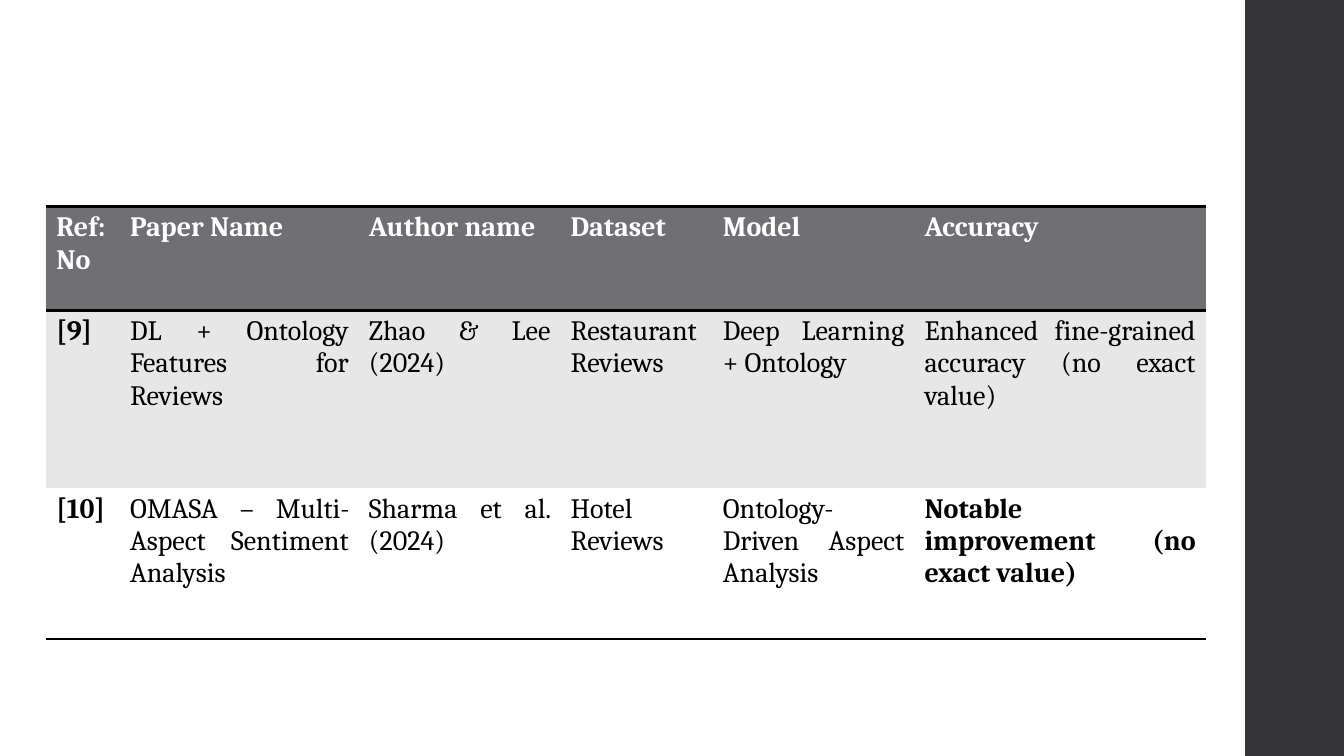
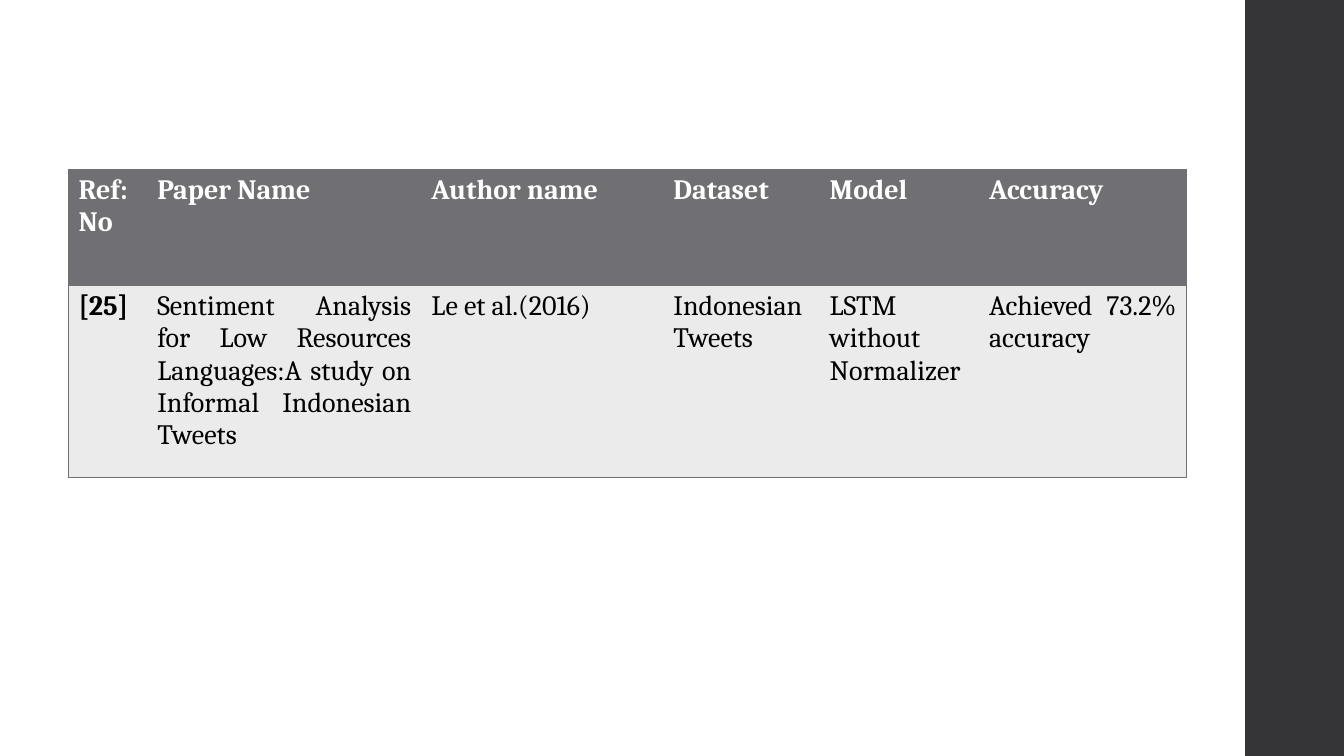
from dataclasses import dataclass

from lxml.etree import SubElement
from pptx import Presentation
from pptx.dml.color import RGBColor
from pptx.enum.shapes import MSO_SHAPE
from pptx.enum.text import PP_ALIGN
from pptx.oxml.ns import qn
from pptx.util import Inches, Pt


@dataclass(frozen=True)
class Theme:
    font: str = "Cambria"
    text_size: int = 20
    paper: str = "FFFFFF"
    ink: str = "000000"
    band: str = "353537"
    header: str = "6F6F74"
    stripe: str = "E7E7E7"
    tint: str = "EBEBEB"


@dataclass(frozen=True)
class TableStyle:
    row_fills: tuple
    line_color: str
    line_width: float
    boxed: bool


THEME = Theme()
SLIDE_WIDTH, SLIDE_HEIGHT = 13.33, 7.5
BAND_LEFT = 12.35
HEADINGS = ("Ref:\nNo", "Paper Name", "Author name", "Dataset", "Model", "Accuracy")
RULED = TableStyle((THEME.stripe, THEME.paper), THEME.ink, 2, boxed=False)
BOXED = TableStyle((THEME.tint,), THEME.header, 1, boxed=True)


def write_text(frame, text, *, color=THEME.ink, bold=False, align=PP_ALIGN.JUSTIFY):
    """Fill a text frame, one paragraph for each line of text."""
    frame.word_wrap = True
    for index, line in enumerate(text.split("\n")):
        paragraph = frame.paragraphs[0] if index == 0 else frame.add_paragraph()
        paragraph.alignment = align
        run = paragraph.add_run()
        run.text = line
        run.font.name = THEME.font
        run.font.size = Pt(THEME.text_size)
        run.font.bold = bold
        run.font.color.rgb = RGBColor.from_string(color)


def fill_solid(target, color):
    target.fill.solid()
    target.fill.fore_color.rgb = RGBColor.from_string(color)


def set_borders(cell, visible_sides, style):
    """Draw the visible sides (of L, R, T, B) and clear the others.

    Must run before the cell is filled, as the schema puts lines first.
    """
    properties = cell._tc.get_or_add_tcPr()
    for side in "LRTB":
        line = SubElement(properties, qn(f"a:ln{side}"), w=str(Pt(style.line_width)))
        if side in visible_sides:
            fill = SubElement(line, qn("a:solidFill"))
            SubElement(fill, qn("a:srgbClr"), val=style.line_color)
        else:
            SubElement(line, qn("a:noFill"))


def sides_to_draw(row, column, row_count, column_count, style):
    """Rule off the header and the table's ends, and its flanks if boxed."""
    sides = ""
    if row <= 1:
        sides += "T"
    if row in (0, row_count - 1):
        sides += "B"
    if style.boxed and column == 0:
        sides += "L"
    if style.boxed and column == column_count - 1:
        sides += "R"
    return sides


def add_slide(presentation):
    """Add a blank slide with the dark band down its right edge."""
    slide = presentation.slides.add_slide(presentation.slide_layouts[6])
    band = slide.shapes.add_shape(
        MSO_SHAPE.RECTANGLE, Inches(BAND_LEFT), 0,
        Inches(SLIDE_WIDTH - BAND_LEFT), Inches(SLIDE_HEIGHT))
    band.shadow.inherit = False
    fill_solid(band, THEME.band)
    band.line.fill.background()
    return slide


def add_paper_table(slide, left, top, column_widths, row_heights, papers, style,
                    bold_cells=()):
    """Add a table of papers; references and bold_cells (row, column) are bold."""
    rows = (HEADINGS, *papers)
    fills = (THEME.header, *style.row_fills)
    table = slide.shapes.add_table(
        len(rows), len(HEADINGS), Inches(left), Inches(top),
        Inches(sum(column_widths)), Inches(sum(row_heights))).table
    table.horz_banding = False
    for column, width in zip(table.columns, column_widths):
        column.width = Inches(width)
    for row, height in zip(table.rows, row_heights):
        row.height = Inches(height)

    for row, texts in enumerate(rows):
        for column, text in enumerate(texts):
            cell = table.cell(row, column)
            sides = sides_to_draw(row, column, len(rows), len(texts), style)
            set_borders(cell, sides, style)
            fill_solid(cell, fills[row])
            write_text(
                cell.text_frame, text,
                color=THEME.paper if row == 0 else THEME.ink,
                bold=row == 0 or column == 0 or (row, column) in bold_cells)


def main():
    presentation = Presentation()
    presentation.slide_width = Inches(SLIDE_WIDTH)
    presentation.slide_height = Inches(SLIDE_HEIGHT)

    add_paper_table(
        add_slide(presentation), 0.46, 2.05,
        column_widths=(0.73, 2.37, 2, 1.51, 2, 2.89),
        row_heights=(1.03, 1.76, 1.5),
        papers=(
            ("[9]", "DL + Ontology Features for Reviews", "Zhao & Lee (2024)",
             "Restaurant Reviews", "Deep Learning + Ontology",
             "Enhanced fine-grained accuracy (no exact value)"),
            ("[10]", "OMASA – Multi-Aspect Sentiment Analysis",
             "Sharma et al. (2024)", "Hotel Reviews",
             "Ontology-Driven Aspect Analysis",
             "Notable improvement (no exact value)"),
        ),
        style=RULED, bold_cells={(2, 5)})

    add_paper_table(
        add_slide(presentation), 0.68, 1.68,
        column_widths=(0.78, 2.72, 2.4, 1.55, 1.58, 2.06),
        row_heights=(1.15, 1.91),
        papers=(
            ("[25]",
             "Sentiment Analysis for Low Resources Languages:"
             "A study on Informal Indonesian Tweets",
             "Le et al.(2016)", "Indonesian Tweets", "LSTM without Normalizer",
             "Achieved 73.2% accuracy"),
        ),
        style=BOXED)

    presentation.save("out.pptx")


if __name__ == "__main__":
    main()
